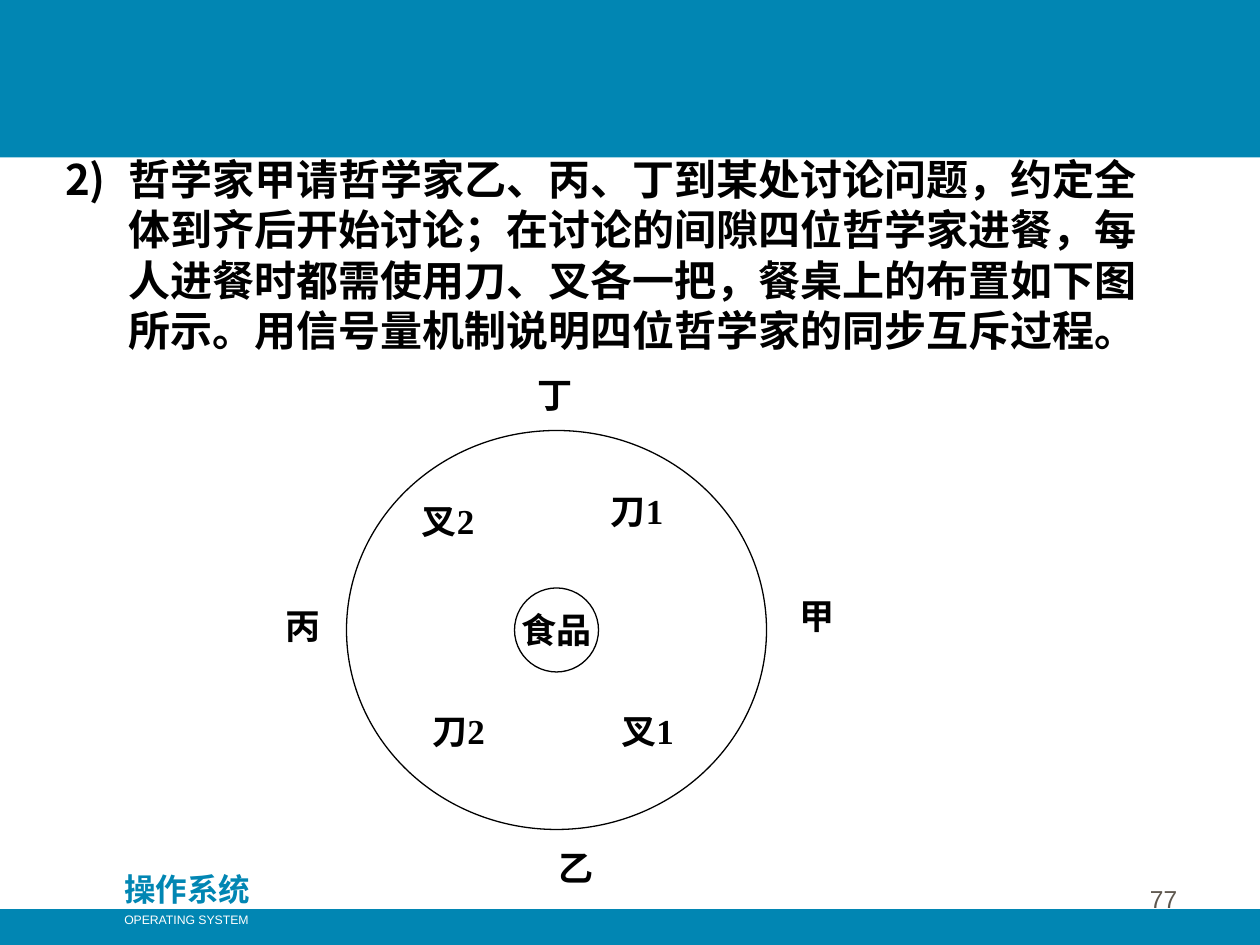
from lxml.etree import SubElement
from pptx import Presentation
from pptx.dml.color import RGBColor
from pptx.enum.shapes import MSO_SHAPE
from pptx.enum.text import MSO_ANCHOR, PP_ALIGN
from pptx.oxml.ns import qn
from pptx.util import Pt

PX = 7620  # 120 px to the inch
WIDTH, HEIGHT = 1200, 900
BLUE, BLACK, WHITE, GREY = "0186B3", "000000", "FFFFFF", "5E574E"
SERIF, SANS, CJK = "Times New Roman", "Arial", "Noto Sans CJK SC"

QUESTION = (
    "哲学家甲请哲学家乙、丙、丁到某处讨论问题，约定全体到齐后开始讨论；"
    "在讨论的间隙四位哲学家进餐，每人进餐时都需使用刀、叉各一把，"
    "餐桌上的布置如下图所示。用信号量机制说明四位哲学家的同步互斥过程。"
)
# Positions relative to the table's bounding box
PHILOSOPHERS = [("乙", 190, 390), ("丙", -70, 160), ("丁", 170, -60), ("甲", 420, 150)]
CUTLERY = [("刀2", 70, 260), ("叉1", 250, 260), ("刀1", 240, 50), ("叉2", 60, 60)]


def color(hex_code):
    return RGBColor.from_string(hex_code)


def emu(*lengths):
    return [length * PX for length in lengths]


def write(frame, text, size, font=SERIF, ink=BLACK, bold=True, align=PP_ALIGN.LEFT):
    frame.text = text
    paragraph = frame.paragraphs[0]
    paragraph.alignment = align
    paragraph.space_before = Pt(0)
    for run in paragraph.runs:
        run.font.size = Pt(size)
        run.font.name = font
        run.font.bold = bold
        run.font.color.rgb = color(ink)
        SubElement(run.font._element, qn("a:ea"), typeface=CJK)


def add_label(slide, box, text, size, wrap=True, **style):
    label = slide.shapes.add_textbox(*emu(*box))
    label.text_frame.word_wrap = wrap
    write(label.text_frame, text, size, **style)
    return label


def add_plain_shape(slide, kind, box, fill=None, line=None):
    shape = slide.shapes.add_shape(kind, *emu(*box))
    shape.shadow.inherit = False
    if fill:
        shape.fill.solid()
        shape.fill.fore_color.rgb = color(fill)
    else:
        shape.fill.background()
    if line:
        shape.line.color.rgb = color(line)
        shape.line.width = Pt(0.75)
    else:
        shape.line.fill.background()
    return shape


def add_header(slide, box):
    add_plain_shape(slide, MSO_SHAPE.RECTANGLE, box, fill=BLUE)


def add_footer(slide, box):
    left, top, width, height = box
    add_plain_shape(slide, MSO_SHAPE.RECTANGLE, box, fill=BLUE)
    add_label(slide, (left + 100, top - 43, 157, 48), "操作系统", 18,
              font=CJK, ink=BLUE, align=PP_ALIGN.CENTER)
    add_label(slide, (left + 106, top - 3, 143, 26), "OPERATING SYSTEM", 7, wrap=False,
              font=SANS, ink=WHITE, bold=False, align=PP_ALIGN.CENTER)
    page_number = add_label(slide, (left + width - 317, top - 50, 250, 60), "77", 14,
                            font=SANS, ink=GREY, bold=False, align=PP_ALIGN.RIGHT)
    page_number.text_frame.vertical_anchor = MSO_ANCHOR.BOTTOM


def add_question(slide, box):
    body = slide.placeholders[1]
    body.left, body.top, body.width, body.height = emu(*box)
    # Bring the text in front of the header band
    slide.shapes._spTree.append(body._element)
    write(body.text_frame, QUESTION, 24)

    # Hanging number, starting at 2)
    properties = body.text_frame.paragraphs[0]._p.get_or_add_pPr()
    properties.set("marL", str(60 * PX))
    properties.set("indent", str(-60 * PX))
    number_color = SubElement(properties, qn("a:buClr"))
    SubElement(number_color, qn("a:srgbClr"), val=BLACK)
    SubElement(properties, qn("a:buFont"), typeface=CJK)
    SubElement(properties, qn("a:buAutoNum"), type="arabicParenR", startAt="2")


def add_dining_table(slide, box):
    left, top, width, height = box
    add_plain_shape(slide, MSO_SHAPE.OVAL, box, line=BLACK)

    # Food in the middle
    plate = 80
    food = add_plain_shape(
        slide, MSO_SHAPE.OVAL,
        (left + (width - plate) // 2, top + (height - plate) // 2, plate, plate), line=BLACK)
    food.text_frame.word_wrap = False
    food.text_frame.vertical_anchor = MSO_ANCHOR.MIDDLE
    write(food.text_frame, "食品", 20, align=PP_ALIGN.CENTER)

    # Seats around the table, then knives and forks on it
    for places, size in ((PHILOSOPHERS, (60, 53)), (CUTLERY, (80, 92))):
        for name, x, y in places:
            add_label(slide, (left + x, top + y, *size), name, 20)


def main():
    presentation = Presentation()
    presentation.slide_width, presentation.slide_height = emu(WIDTH, HEIGHT)
    slide = presentation.slides.add_slide(presentation.slide_layouts[1])
    title = slide.shapes.title._element
    title.getparent().remove(title)

    add_header(slide, (0, 0, WIDTH, 150))
    add_footer(slide, (0, 866, WIDTH, 34))
    add_question(slide, (50, 140, 1080, 204))
    add_dining_table(slide, (330, 410, 400, 380))
    presentation.save("out.pptx")


if __name__ == "__main__":
    main()
